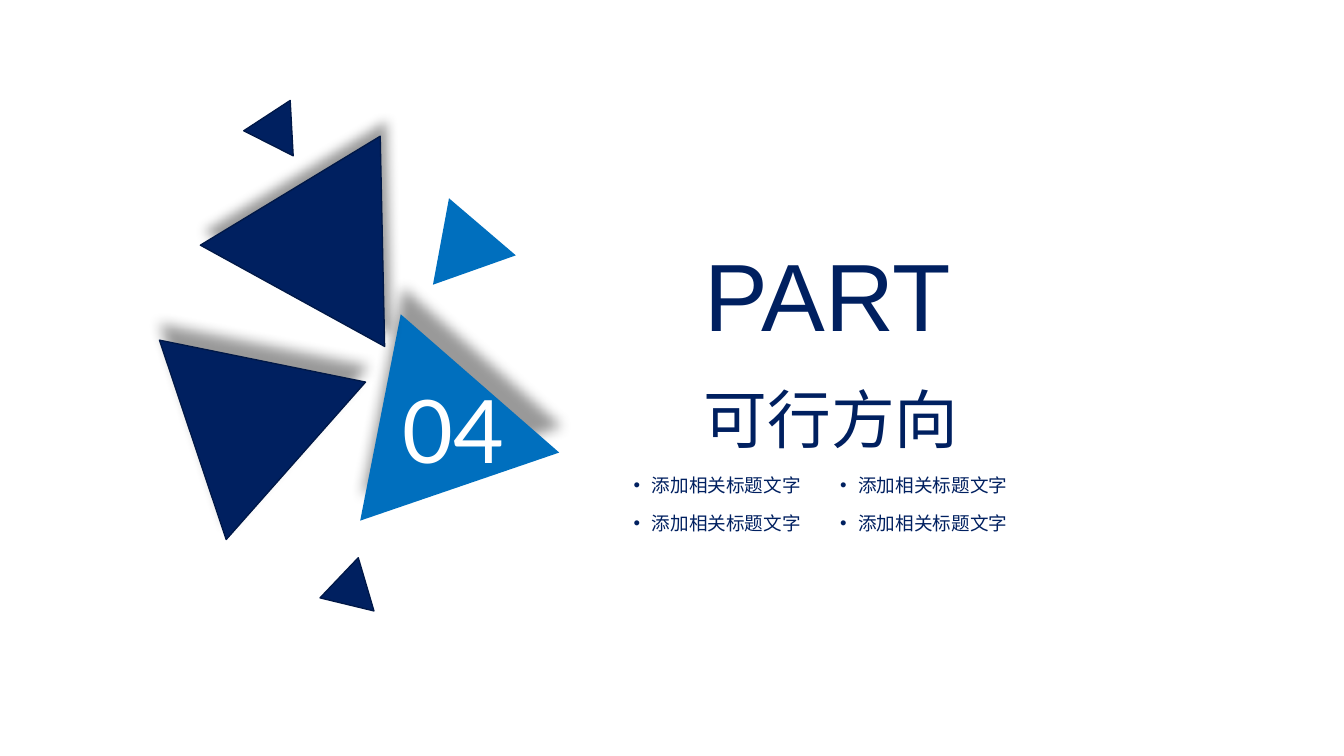
from math import sqrt

from lxml import etree
from pptx import Presentation
from pptx.dml.color import RGBColor
from pptx.enum.shapes import MSO_SHAPE
from pptx.enum.text import MSO_ANCHOR, MSO_AUTO_SIZE, PP_ALIGN
from pptx.oxml.ns import qn
from pptx.util import Inches, Pt

TRIANGLE = MSO_SHAPE.ISOSCELES_TRIANGLE
TOP, MIDDLE = MSO_ANCHOR.TOP, MSO_ANCHOR.MIDDLE
LEFT, CENTER = PP_ALIGN.LEFT, PP_ALIGN.CENTER
COMPARISON_LAYOUT = 4  # a title and four body placeholders

# Content
PART_LABEL = "PART"
PART_NUMBER = "04"
TITLE = "可行方向"
TOPIC_COLUMNS = [
    ["添加相关标题文字", "添加相关标题文字"],
    ["添加相关标题文字", "添加相关标题文字"],
]
COLORS = {"navy": "002060", "outline": "001847", "blue": "006FBE",
          "white": "FFFFFF", "shadow": "000000"}

# Places in percent of the slide's width and height: left, top, width, height
TITLE_AREA = (47.3, 50.19, 29.09, 10.24)
LABEL_AREA = (44.59, 31.1, 34, 15.3)
NUMBER_AREA = (29.23, 49.05, 10.95, 15.3)
FIRST_TOPIC = (46.44, 62.07, 19.27, 4.3)
COLUMN_STEP, ROW_STEP = 15.36, 5.06

# Equilateral triangles: centre x, centre y, side, rotation, color,
# shadow (blur and distance in points, direction in degrees)
LARGE, MEDIUM, SMALL = 15.65, 6.54, 4.13
TRIANGLES = [
    (32.01, 52.97, LARGE, 341.1, "blue", (10, 20, 275)),
    (25.11, 35.52, LARGE, 148.8, "navy", (9, 11, 290)),
    (20.77, 54.36, LARGE, 71.5, "navy", (10, 12, 275)),
    (34.35, 30.97, MEDIUM, 340.5, "blue", None),
    (26.24, 76.86, SMALL, 13.6, "navy", None),
    (20.84, 17.95, SMALL, 146.9, "navy", None),
]
SHADOW_OPACITY = 40

presentation = Presentation()
presentation.slide_width = Inches(14.06)
presentation.slide_height = Inches(7.91)
slide = presentation.slides.add_slide(presentation.slide_layouts[COMPARISON_LAYOUT])


def across(percent):
    return round(presentation.slide_width * percent / 100)


def down(percent):
    return round(presentation.slide_height * percent / 100)


def color(name):
    return RGBColor.from_string(COLORS[name])


def place(shape, area):
    left, top, width, height = area
    shape.left, shape.top = across(left), down(top)
    shape.width, shape.height = across(width), down(height)


def add_bullet(paragraph):
    properties = paragraph._p.get_or_add_pPr()
    properties.set("marL", str(Inches(0.19)))
    properties.set("indent", str(-Inches(0.19)))
    etree.SubElement(properties, qn("a:buFont"), typeface="Arial")
    etree.SubElement(properties, qn("a:buChar"), char="•")


def write(shape, text, font_name, size, color_name, align=LEFT, anchor=TOP,
          insets=(0.1, 0.05), wrap=True, bullet=False):
    frame = shape.text_frame
    frame.word_wrap = wrap
    frame.auto_size = MSO_AUTO_SIZE.SHAPE_TO_FIT_TEXT
    frame.vertical_anchor = anchor
    frame.margin_left = frame.margin_right = Inches(insets[0])
    frame.margin_top = frame.margin_bottom = Inches(insets[1])
    paragraph = frame.paragraphs[0]
    if bullet:
        add_bullet(paragraph)
    paragraph.alignment = align
    paragraph.line_spacing = 1.0
    paragraph.space_before = Pt(0)
    run = paragraph.add_run()
    run.text = text
    run.font.name = font_name
    run.font.size = Pt(size)
    run.font.bold = False
    run.font.color.rgb = color(color_name)
    run_properties = run._r.get_or_add_rPr()
    run_properties.set("lang", "zh-CN")
    etree.SubElement(run_properties, qn("a:ea"), typeface=font_name)


def add_shadow(shape, blur, distance, direction):
    effects = shape._element.spPr.find(qn("a:effectLst"))
    shadow = etree.SubElement(
        effects, qn("a:outerShdw"), blurRad=str(Pt(blur)), dist=str(Pt(distance)),
        dir=str(direction * 60000), rotWithShape="0")
    shade = etree.SubElement(shadow, qn("a:srgbClr"), val=COLORS["shadow"])
    etree.SubElement(shade, qn("a:alpha"), val=str(SHADOW_OPACITY * 1000))


def add_triangle(center_x, center_y, side, rotation, color_name, shadow):
    width = across(side)
    height = round(width * sqrt(3) / 2)
    shape = slide.shapes.add_shape(
        TRIANGLE, across(center_x) - width // 2, down(center_y) - height // 2,
        width, height)
    shape.rotation = rotation
    shape.fill.solid()
    shape.fill.fore_color.rgb = color(color_name)
    if color_name == "navy":
        shape.line.color.rgb = color("outline")
        shape.line.width = Pt(1)
    else:
        shape.line.fill.background()
    shape.shadow.inherit = False
    if shadow:
        add_shadow(shape, *shadow)


def add_text_box(area):
    box = slide.shapes.add_textbox(0, 0, 0, 0)
    place(box, area)
    return box


# Title
place(slide.shapes.title, TITLE_AREA)
write(slide.shapes.title, TITLE, "Calibri", 48, "navy", CENTER, insets=(0, 0))

# Topics in two columns
bodies = iter(list(slide.placeholders)[1:5])
first_left, first_top, topic_width, topic_height = FIRST_TOPIC
for column, topics in enumerate(TOPIC_COLUMNS):
    for row, topic in enumerate(topics):
        body = next(bodies)
        place(body, (first_left + column * COLUMN_STEP, first_top + row * ROW_STEP,
                     topic_width, topic_height))
        write(body, topic, "Noto Sans CJK SC", 14, "navy", bullet=True)

# Triangles
for triangle in TRIANGLES:
    add_triangle(*triangle)

# Part label and number
write(add_text_box(LABEL_AREA), PART_LABEL, "Arial", 72, "navy", CENTER, MIDDLE, (0, 0))
write(add_text_box(NUMBER_AREA), PART_NUMBER, "Lato", 66, "white", wrap=False)

# Placeholders left empty
for placeholder in list(slide.placeholders):
    if not placeholder.text_frame.text:
        placeholder._element.getparent().remove(placeholder._element)

presentation.save("out.pptx")
